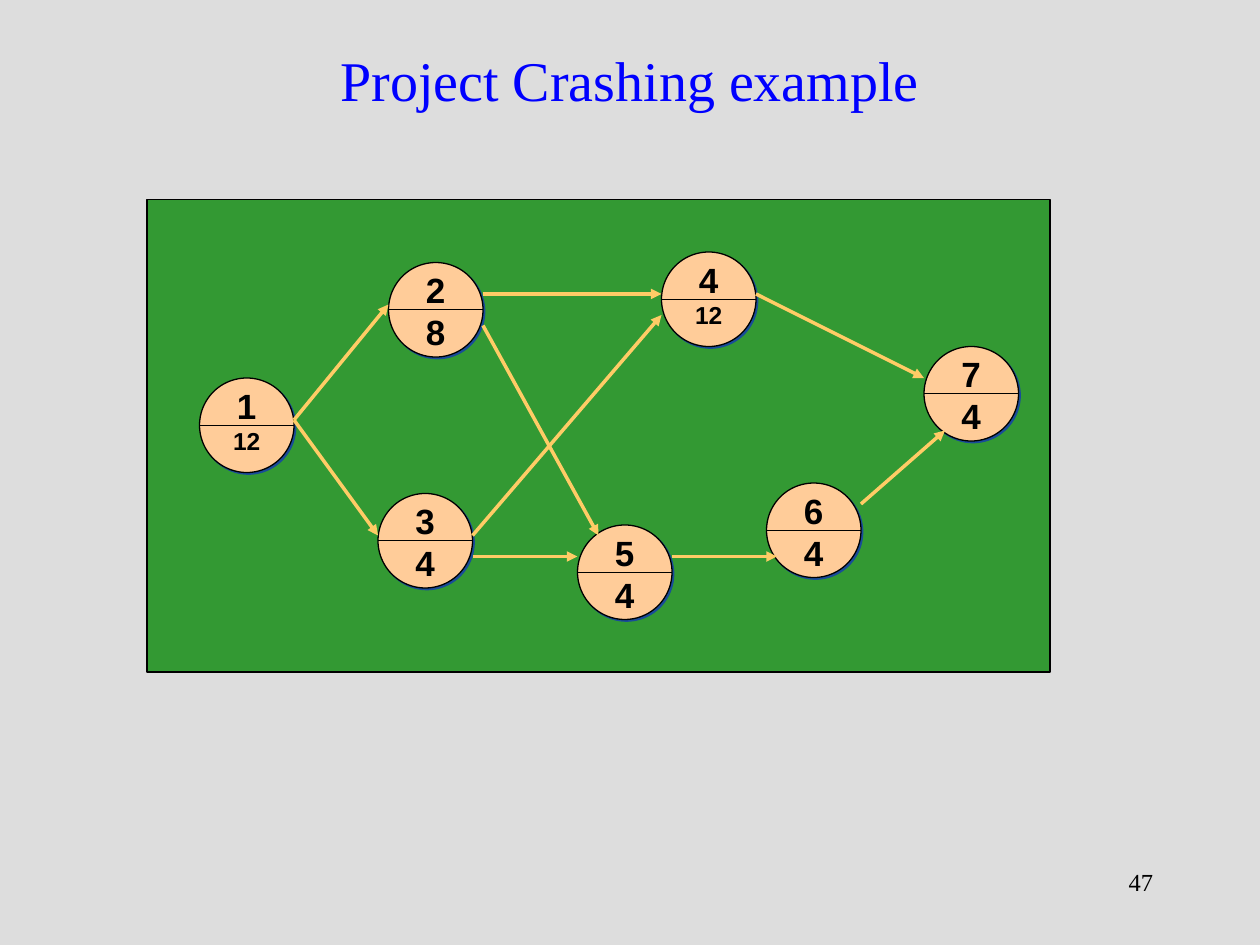
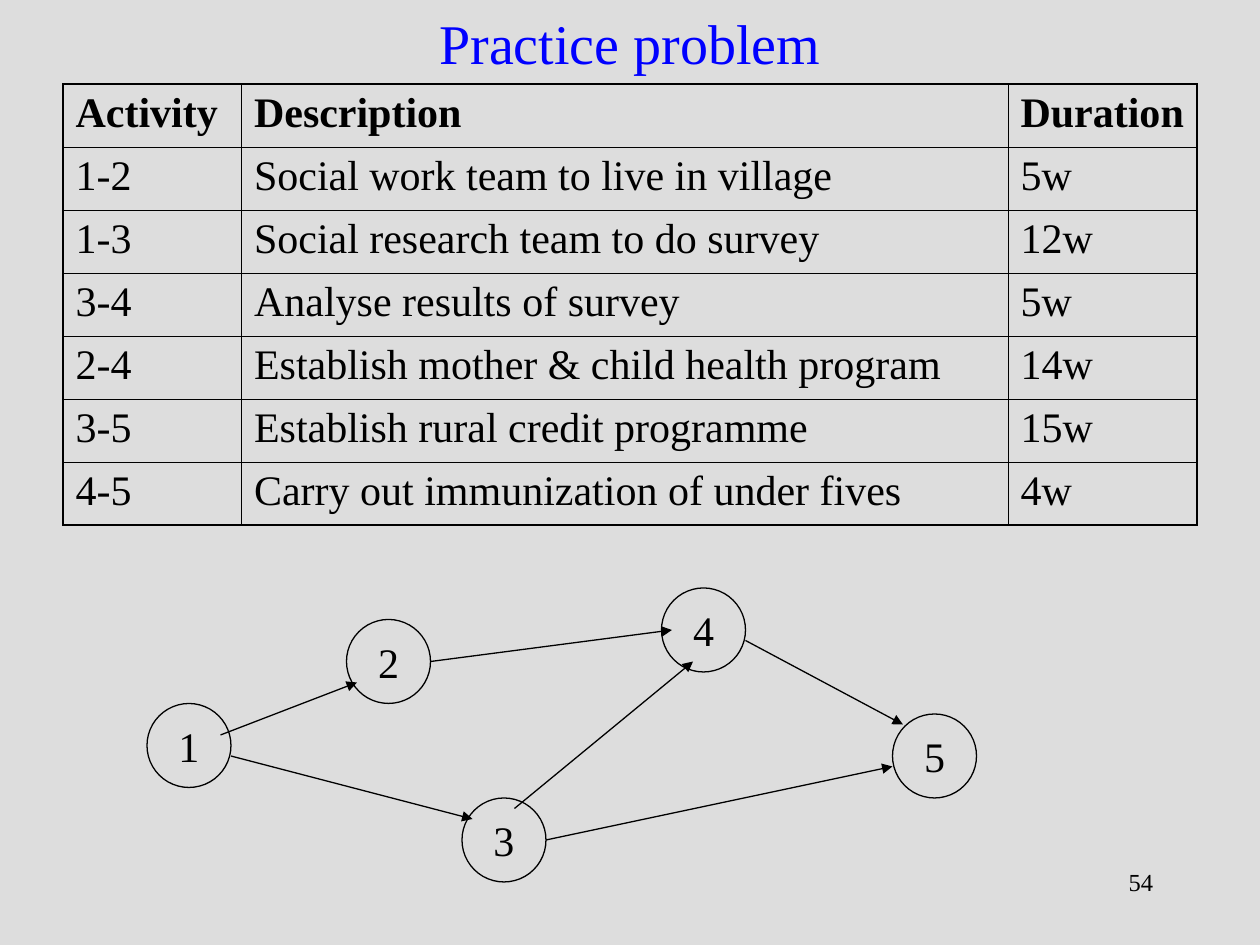
from pptx import Presentation
from pptx.dml.color import RGBColor
from pptx.enum.shapes import MSO_CONNECTOR, MSO_SHAPE
from pptx.enum.text import MSO_ANCHOR, MSO_AUTO_SIZE, PP_ALIGN
from pptx.oxml import parse_xml
from pptx.oxml.ns import nsdecls, qn
from pptx.util import Pt

GRAY = RGBColor(0xDD, 0xDD, 0xDD)
BLUE = RGBColor(0x00, 0x00, 0xFF)
BLACK = RGBColor(0x00, 0x00, 0x00)
GREEN = RGBColor(0x33, 0x99, 0x33)
PEACH = RGBColor(0xFF, 0xCC, 0x99)
GOLD = RGBColor(0xFF, 0xCC, 0x66)

OVAL = MSO_SHAPE.OVAL
RECT = MSO_SHAPE.RECTANGLE
STRAIGHT = MSO_CONNECTOR.STRAIGHT
CENTER = PP_ALIGN.CENTER
LEFT = PP_ALIGN.LEFT
RIGHT = PP_ALIGN.RIGHT
TOP = MSO_ANCHOR.TOP
MIDDLE = MSO_ANCHOR.MIDDLE
FIXED = MSO_AUTO_SIZE.NONE

SERIF = "Times New Roman"
SANS = "Arial"
THIN = 0.75
INNER = 0.45
OUTER = 1.08

TASKS = [
    ("1", "12", 114, 216),
    ("2", "8", 222, 150),
    ("4", "12", 378, 144),
    ("3", "4", 216, 282),
    ("5", "4", 330, 300),
    ("6", "4", 438, 276),
    ("7", "4", 528, 198),
]
TASK_LINKS = [
    (168, 240, 222, 174),
    (168, 240, 216, 306),
    (270, 306, 378, 180),
    (276, 168, 378, 168),
    (432, 168, 528, 216),
    (276, 186, 342, 306),
    (270, 318, 330, 318),
    (492, 288, 540, 246),
    (384, 318, 444, 318),
]
EVENTS = [
    ("1", 84, 402),
    ("2", 198, 354),
    ("3", 264, 456),
    ("4", 378, 336),
    ("5", 510, 408),
]
EVENT_LINKS = [
    (126, 420, 204, 390),
    (132, 432, 270, 468),
    (246, 378, 384, 360),
    (294, 462, 396, 378),
    (312, 480, 510, 438),
    (426, 366, 516, 414),
]
WIDTHS = [102, 438, 108]
ROW = 36
ROWS = [
    ("Activity", "Description", "Duration"),
    ("1-2", "Social work team to live in village", "5w"),
    ("1-3", "Social research team to do survey", "12w"),
    ("3-4", "Analyse results of survey", "5w"),
    ("2-4", "Establish mother & child health program", "14w"),
    ("3-5", "Establish rural credit programme", "15w"),
    ("4-5", "Carry out immunization of under fives", "4w"),
]


def write(frame, text, size, font=SERIF, color=BLACK, bold=False, align=CENTER):
    frame.text = text
    para = frame.paragraphs[0]
    para.alignment = align
    for run in para.runs:
        run.font.name = font
        run.font.size = Pt(size)
        run.font.bold = bold
        run.font.color.rgb = color


def add_label(slide, text, box, size, **style):
    frame = slide.shapes.add_textbox(*map(Pt, box)).text_frame
    frame.word_wrap = False
    write(frame, text, size, **style)


def add_figure(slide, kind, box, fill=None):
    shape = slide.shapes.add_shape(kind, *map(Pt, box))
    shape.shadow.inherit = False
    if fill is None:
        shape.fill.background()
    else:
        shape.fill.solid()
        shape.fill.fore_color.rgb = fill
    shape.line.color.rgb = BLACK
    shape.line.width = Pt(THIN)
    return shape


def add_line(slide, ends, color=BLACK, width=THIN, arrow=False):
    line = slide.shapes.add_connector(STRAIGHT, *map(Pt, ends))
    line.line.color.rgb = color
    line.line.width = Pt(width)
    if arrow:
        line.line._get_or_add_ln().append(
            parse_xml(f'<a:tailEnd {nsdecls("a")} type="triangle"/>'))
    line._element.spPr.append(parse_xml(f'<a:effectLst {nsdecls("a")}/>'))


def add_shadow(shape):
    shape._element.spPr.find(qn("a:effectLst")).append(parse_xml(
        f'<a:outerShdw {nsdecls("a")} dist="{Pt(1.4)}" dir="2700000" algn="ctr" '
        f'rotWithShape="0"><a:srgbClr val="{BLUE}"><a:alpha val="50000"/>'
        '</a:srgbClr></a:outerShdw>'))


def add_task(slide, name, weeks, left, top):
    add_shadow(add_figure(slide, OVAL, (left, top, 54, 54), PEACH))
    add_line(slide, (left, top + 27, left + 54, top + 27))
    add_label(slide, name, (left + 12, top, 30, 32), 20, font=SANS, bold=True)
    size = 20 if len(weeks) == 1 else 14
    add_label(slide, weeks, (left + 12, top + 24, 30, 32), size, font=SANS, bold=True)


def add_event(slide, name, left, top):
    frame = add_figure(slide, OVAL, (left, top, 48, 48)).text_frame
    frame.word_wrap = False
    frame.vertical_anchor = MIDDLE
    write(frame, name, 24)


def set_borders(cell, widths):
    props = cell._tc.get_or_add_tcPr()
    for side, width in zip("LRTB", widths):
        props.append(parse_xml(
            f'<a:ln{side} {nsdecls("a")} w="{Pt(width)}"><a:solidFill>'
            f'<a:srgbClr val="{BLACK}"/></a:solidFill></a:ln{side}>'))


def add_grid(slide, left, top):
    count, last = len(ROWS), len(WIDTHS) - 1
    box = (left, top, sum(WIDTHS), ROW * count)
    table = slide.shapes.add_table(count, len(WIDTHS), *map(Pt, box)).table
    table.first_row = False
    table.horz_banding = False
    for column, width in zip(table.columns, WIDTHS):
        column.width = Pt(width)
    for r, texts in enumerate(ROWS):
        for c, text in enumerate(texts):
            cell = table.cell(r, c)
            edges = (c == 0, c == last, r == 0, r == count - 1)
            set_borders(cell, [OUTER if edge else INNER for edge in edges])
            cell.fill.background()
            cell.vertical_anchor = TOP
            write(cell.text_frame, text, 24, bold=r == 0, align=LEFT)


def add_page(deck, title, top, height, number):
    slide = deck.slides.add_slide(deck.slide_layouts[5])
    head = slide.shapes.title
    head.left, head.top, head.width, head.height = map(Pt, (54, top, 612, height))
    frame = head.text_frame
    frame.auto_size = FIXED
    frame.vertical_anchor = MIDDLE
    write(frame, title, 32, color=BLUE)
    add_label(slide, number, (516, 492, 150, 36), 14, align=RIGHT)
    slide.shapes[-1].text_frame.word_wrap = True
    return slide


def main():
    deck = Presentation()
    deck.slide_width, deck.slide_height = Pt(720), Pt(540)
    back = deck.slide_master.background.fill
    back.solid()
    back.fore_color.rgb = GRAY

    crash = add_page(deck, "Project Crashing example", 24, 42, "47")
    add_figure(crash, RECT, (84, 114, 516, 270), GREEN)
    for task in TASKS:
        add_task(crash, *task)
    for link in TASK_LINKS:
        add_line(crash, link, GOLD, 2, arrow=True)

    drill = add_page(deck, "Practice problem", 12, 24, "54")
    add_grid(drill, 36, 48)
    for event in EVENTS:
        add_event(drill, *event)
    for link in EVENT_LINKS:
        add_line(drill, link, arrow=True)

    deck.save("out.pptx")


if __name__ == "__main__":
    main()
